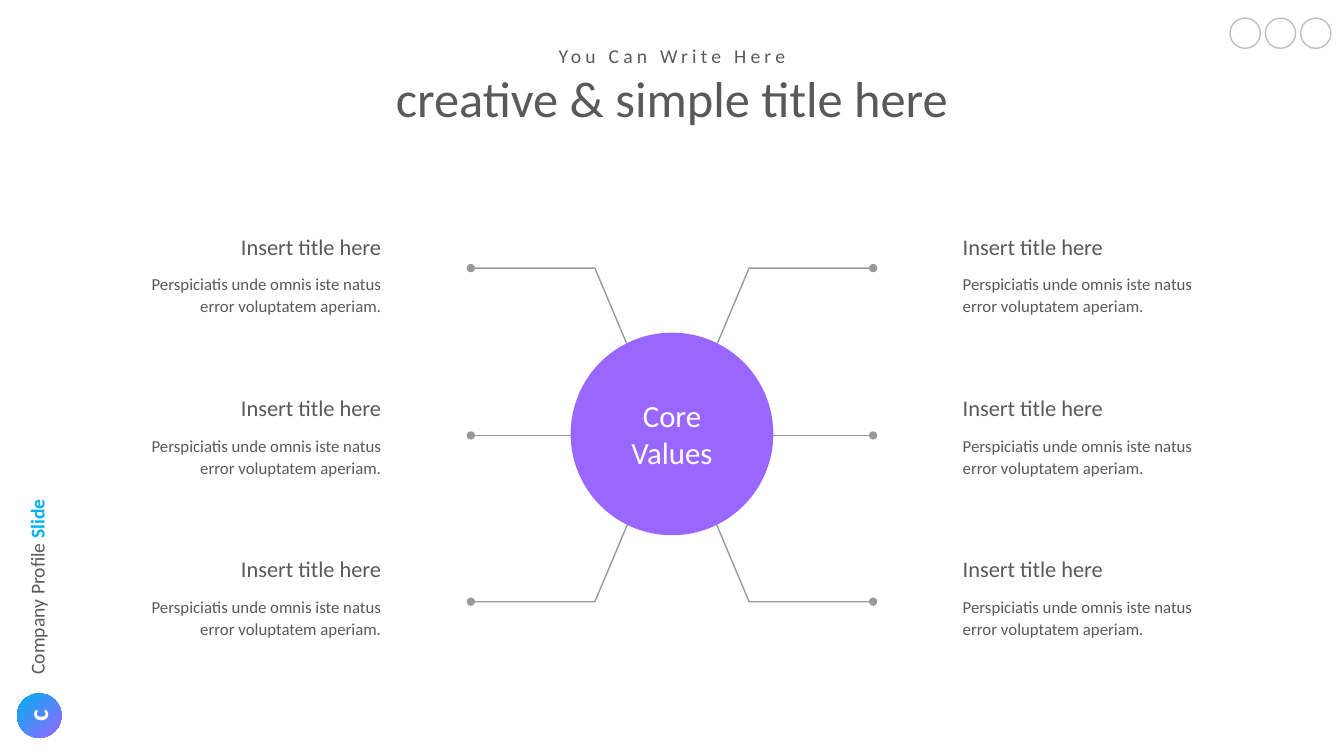
from pptx import Presentation
from pptx.dml.color import RGBColor
from pptx.enum import shapes, text
from pptx.oxml import parse_xml
from pptx.oxml.ns import nsdecls

PX = 9144  # 100 px to the inch
WIDE, HIGH = 1333, 750
FLIP = 863  # top and bottom elbows mirror: y + y' = FLIP
FONT = "Calibri"
COLORS = {
    "ink": "595959",
    "line": "999999",
    "ring": "BFBFBF",
    "violet": "9966FF",
    "blue": "00B0F0",
    "white": "FFFFFF",
}
LEFT, MID, RIGHT = text.PP_ALIGN.LEFT, text.PP_ALIGN.CENTER, text.PP_ALIGN.RIGHT
OVAL = shapes.MSO_SHAPE.OVAL
HEAD = "Insert title here"
BODY = "Perspiciatis unde omnis iste natus error voluptatem aperiam."


def rgb(name):
    return RGBColor.from_string(COLORS[name])


def scale(*sizes):
    return [size * PX for size in sizes]


def add_run(para, words, size, color="ink", bold=False):
    run = para.add_run()
    run.text = words
    run.font.name = FONT
    run.font.size = size * 12700
    run.font.bold = bold
    run.font.color.rgb = rgb(color)
    return run


def add_text(slide, box, align=LEFT, wrap=False, turn=0):
    """Add an empty text box and return its first paragraph."""
    shape = slide.shapes.add_textbox(*scale(*box))
    shape.rotation = turn
    frame = shape.text_frame
    frame.word_wrap = wrap
    frame.auto_size = text.MSO_AUTO_SIZE.SHAPE_TO_FIT_TEXT
    para = frame.paragraphs[0]
    para.alignment = align
    return para


def add_title(slide):
    title = slide.shapes.title
    title.left, title.top, title.width, title.height = scale(239, 68, 855, 65)
    frame = title.text_frame
    frame.auto_size = text.MSO_AUTO_SIZE.NONE
    frame.vertical_anchor = text.MSO_ANCHOR.TOP
    para = frame.paragraphs[0]
    para.alignment = MID
    para.line_spacing = 0.9
    add_run(para, "creative & simple title here", 36)
    para = add_text(slide, (541, 39, 251, 34), MID)
    run = add_run(para, "You Can Write Here", 14)
    run.font._element.set("spc", "300")


def add_item(slide, top, align):
    """Add a heading with its two lines of text on one side."""
    head, body = (945, 945) if align == LEFT else (227, 117)
    add_run(add_text(slide, (head, top, 161, 37), align), HEAD, 16)
    para = add_text(slide, (body, top + 39, 271, 55), align, wrap=True)
    para.line_spacing = 1.1
    add_run(para, BODY, 12)


def dot_end(shape):
    """Style a grey line that ends in a dot."""
    shape.line.color.rgb = rgb("line")
    shape.line.width = 12700
    tail = parse_xml(f'<a:tailEnd {nsdecls("a")} type="oval"/>')
    shape.line._get_or_add_ln().append(tail)


def add_elbow(slide, points):
    build = slide.shapes.build_freeform(*points[0], scale=PX)
    build.add_line_segments(points[1:], close=False)
    shape = build.convert_to_shape()
    shape.fill.background()
    shape.shadow.inherit = False
    dot_end(shape)


def add_spoke(slide, start, end, y):
    line = slide.shapes.add_connector(
        shapes.MSO_CONNECTOR.STRAIGHT, *scale(start, y, end, y))
    dot_end(line)
    line._element.spPr.append(parse_xml(f'<a:effectLst {nsdecls("a")}/>'))


def add_arms(slide):
    elbow = [(711, 342), (743, 266), (866, 266)]
    for side in (False, True):
        pts = [(WIDE - x if side else x, y) for x, y in elbow]
        add_elbow(slide, pts)
        add_elbow(slide, [(x, FLIP - y) for x, y in pts])
        start, end = (568, 467) if side else (765, 866)
        add_spoke(slide, start, end, 432)


def add_disc(slide, left, top, size):
    disc = slide.shapes.add_shape(OVAL, *scale(left, top, size, size))
    disc.shadow.inherit = False
    disc.line.fill.background()
    return disc


def add_core(slide):
    disc = add_disc(slide, 566, 330, 201)
    disc.fill.solid()
    disc.fill.fore_color.rgb = rgb("violet")
    frame = disc.text_frame
    frame.margin_left = frame.margin_right = 0
    frame.margin_top = frame.margin_bottom = 0
    frame.vertical_anchor = text.MSO_ANCHOR.MIDDLE
    for para, word in ((frame.paragraphs[0], "Core"),
                       (frame.add_paragraph(), "Values")):
        para.alignment = MID
        add_run(para, word, 22, "white")


def add_badge(slide):
    disc = add_disc(slide, 17, 688, 44)
    disc.fill.gradient()
    disc.fill.gradient_angle = 135
    for stop, color in zip(disc.fill.gradient_stops, ("violet", "blue")):
        stop.color.rgb = rgb(color)
    add_run(add_text(slide, (21, 688, 32, 44), MID, turn=270),
            "c", 20, "white", bold=True)
    para = add_text(slide, (-60, 565, 194, 34), turn=270)
    add_run(para, "Company Profile ", 14)
    add_run(para, "Slide", 14, "blue", bold=True)


def add_ring(slide, left):
    ring = add_disc(slide, left, 18, 30)
    ring.fill.background()
    ring.line.color.rgb = rgb("ring")
    ring.line.width = 12700


def main():
    deck = Presentation()
    deck.slide_width, deck.slide_height = scale(WIDE, HIGH)
    slide = deck.slides.add_slide(deck.slide_layouts[5])
    add_title(slide)
    for row in range(3):
        for align in (RIGHT, LEFT):
            add_item(slide, 226 + 160 * row, align)
    add_arms(slide)
    add_core(slide)
    add_badge(slide)
    for i in range(3):
        add_ring(slide, 1220 + 35 * i)
    deck.save("out.pptx")


if __name__ == "__main__":
    main()
